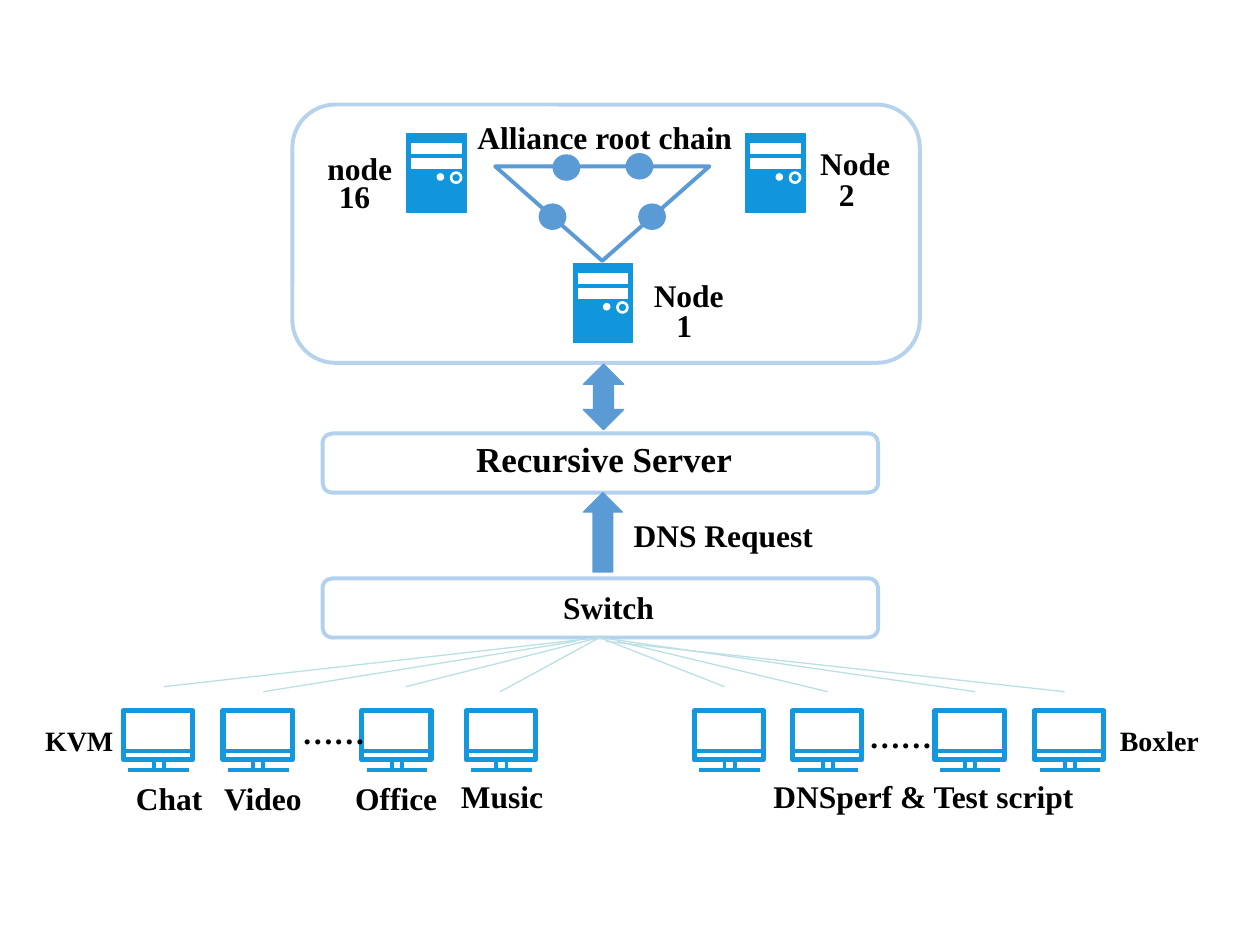
"""Build a slide of a DNS test bed with an alliance root chain."""
from lxml import etree
from pptx import Presentation
from pptx.dml.color import RGBColor
from pptx.enum.shapes import MSO_CONNECTOR, MSO_SHAPE
from pptx.oxml.ns import qn
from pptx.util import Inches, Pt

RECT = MSO_SHAPE.RECTANGLE
ROUND = MSO_SHAPE.ROUNDED_RECTANGLE
DOT = MSO_SHAPE.FLOWCHART_CONNECTOR
TRIANGLE = MSO_SHAPE.ISOSCELES_TRIANGLE
UP = MSO_SHAPE.UP_ARROW
UP_DOWN = MSO_SHAPE.UP_DOWN_ARROW
STRAIGHT = MSO_CONNECTOR.STRAIGHT

WHITE = RGBColor(0xFF, 0xFF, 0xFF)
BLACK = RGBColor(0, 0, 0)
SCREEN = RGBColor(0x13, 0x98, 0xDD)
TOWER = RGBColor(0x12, 0x96, 0xDB)
KNOB = RGBColor(0x0A, 0x95, 0xDE)
BLUE = RGBColor(0x5B, 0x9B, 0xD5)
FRAME = RGBColor(0xB6, 0xD2, 0xED)
BAR = RGBColor(0xB2, 0xD1, 0xEE)
CABLE = RGBColor(0xBB, 0xE0, 0xE3)
FONT = "Times New Roman"

SERVERS = [(3.23, 1.06), (5.92, 1.06), (4.55, 2.09)]
DOTS = [(4.39, 1.23), (4.97, 1.22), (4.28, 1.62), (5.07, 1.62)]
SCREENS = [0.98, 1.77, 2.87, 3.7, 5.51, 6.29, 7.42, 8.21]
CABLES = [
    (1.3, 5.45, 4.76, 5.06),
    (2.09, 5.49, 4.57, 5.09),
    (3.22, 5.45, 4.76, 5.06),
    (3.97, 5.49, 4.76, 5.06),
    (5.75, 5.45, 4.76, 5.06),
    (6.57, 5.49, 4.9, 5.09),
    (7.74, 5.49, 4.76, 5.06),
    (8.45, 5.49, 4.81, 5.09),
]
LABELS = [
    ("node", 2.5, 1.13, 0.79, 18),
    ("16", 2.59, 1.36, 0.79, 18),
    ("Alliance root chain", 3.69, 0.89, 2.49, 18),
    ("Node", 6.41, 1.09, 0.79, 18),
    ("2", 6.56, 1.34, 0.79, 18),
    ("Node", 5.09, 2.14, 0.79, 18),
    ("1", 5.27, 2.38, 0.79, 18),
    ("Recursive Server", 3.68, 3.42, 2.35, 20),
    ("DNS Request", 4.93, 4.05, 1.91, 18),
    ("Switch", 4.37, 4.62, 1.19, 18),
    ("KVM", 0.26, 5.69, 0.79, 16),
    ("Chat", 0.98, 6.13, 0.79, 18),
    ("Video", 1.68, 6.13, 0.98, 18),
    ("Office", 2.72, 6.13, 1.15, 18),
    ("Music", 3.56, 6.12, 0.91, 18),
    ("DNSperf & Test script", 6.04, 6.12, 2.6, 18),
    ("Boxler", 8.79, 5.69, 1.2, 16),
    ("……", 2.3, 5.61, 0.79, 18),
    ("……", 6.8, 5.64, 0.79, 18),
]


def add_form(shapes, kind, x, y, w, h, fill, line, width=0.75):
    """Add a preset shape; a fill of None leaves it open."""
    form = shapes.add_shape(kind, Inches(x), Inches(y), Inches(w), Inches(h))
    form.shadow.inherit = False
    if fill is None:
        form.fill.background()
    else:
        form.fill.solid()
        form.fill.fore_color.rgb = fill
    form.line.color.rgb = line
    form.line.width = Pt(width)
    return form


def add_line(shapes, x1, y1, x2, y2, color, width):
    """Add a straight connector without a shadow."""
    line = shapes.add_connector(
        STRAIGHT, Inches(x1), Inches(y1), Inches(x2), Inches(y2))
    line.line.color.rgb = color
    line.line.width = Pt(width)
    etree.SubElement(line._element.spPr, qn("a:effectLst"))


def add_label(shapes, text, x, y, w, size):
    """Add a bold left-aligned label."""
    box = shapes.add_textbox(Inches(x), Inches(y), Inches(w), Inches(0.4))
    box.text_frame.word_wrap = True
    para = box.text_frame.paragraphs[0]
    para.text = text
    para.font.name = FONT
    para.font.size = Pt(size)
    para.font.bold = True
    para.font.color.rgb = BLACK


def add_screen(shapes, x, y=5.64):
    """Add a grouped monitor with its stand."""
    parts = shapes.add_group_shape().shapes
    add_form(parts, RECT, x, y, 0.55, 0.39, WHITE, SCREEN, 3)
    for x1, y1, x2, y2 in [(0, 0.32, 0.55, 0.32), (0.24, 0.39, 0.24, 0.47),
                           (0.32, 0.39, 0.32, 0.47), (0.04, 0.47, 0.52, 0.47)]:
        add_line(parts, x + x1, y + y1, x + x2, y + y2, SCREEN, 2.25)


def add_server(shapes, x, y):
    """Add a grouped server tower with two slots, a lamp and a knob."""
    parts = shapes.add_group_shape().shapes
    add_form(parts, RECT, x, y, 0.47, 0.63, TOWER, TOWER)
    for drop in (0.08, 0.2):
        add_form(parts, RECT, x + 0.04, y + drop, 0.39, 0.08, WHITE, WHITE)
    add_form(parts, DOT, x + 0.24, y + 0.32, 0.05, 0.05, WHITE, WHITE)
    add_form(parts, DOT, x + 0.35, y + 0.31, 0.08, 0.08, KNOB, WHITE, 1.5)


def main():
    """Build and save the slide."""
    deck = Presentation()
    deck.slide_width, deck.slide_height = Inches(10), Inches(7.5)
    shapes = deck.slides.add_slide(deck.slide_layouts[6]).shapes
    for x in SCREENS:
        add_screen(shapes, x)
    add_form(shapes, ROUND, 2.32, 0.83, 4.98, 2.05, None, FRAME, 2.25)
    for x, y in SERVERS:
        add_server(shapes, x, y)
    for y in (3.44, 4.59):
        add_form(shapes, ROUND, 2.56, y, 4.41, 0.47, None, BAR, 2.25)
    add_form(shapes, UP_DOWN, 4.63, 2.89, 0.32, 0.52, BLUE, BLUE)
    add_form(shapes, UP, 4.63, 3.91, 0.31, 0.63, BLUE, BLUE)
    for x, y in DOTS:
        add_form(shapes, DOT, x, y, 0.21, 0.2, BLUE, BLUE)
    for label in LABELS:
        add_label(shapes, *label)
    for cable in CABLES:
        add_line(shapes, *cable, CABLE, 0.75)
    chain = add_form(shapes, TRIANGLE, 3.93, 1.32, 1.7, 0.75, None, BLUE, 2.25)
    chain.rotation = 180
    deck.save("out.pptx")


if __name__ == "__main__":
    main()
